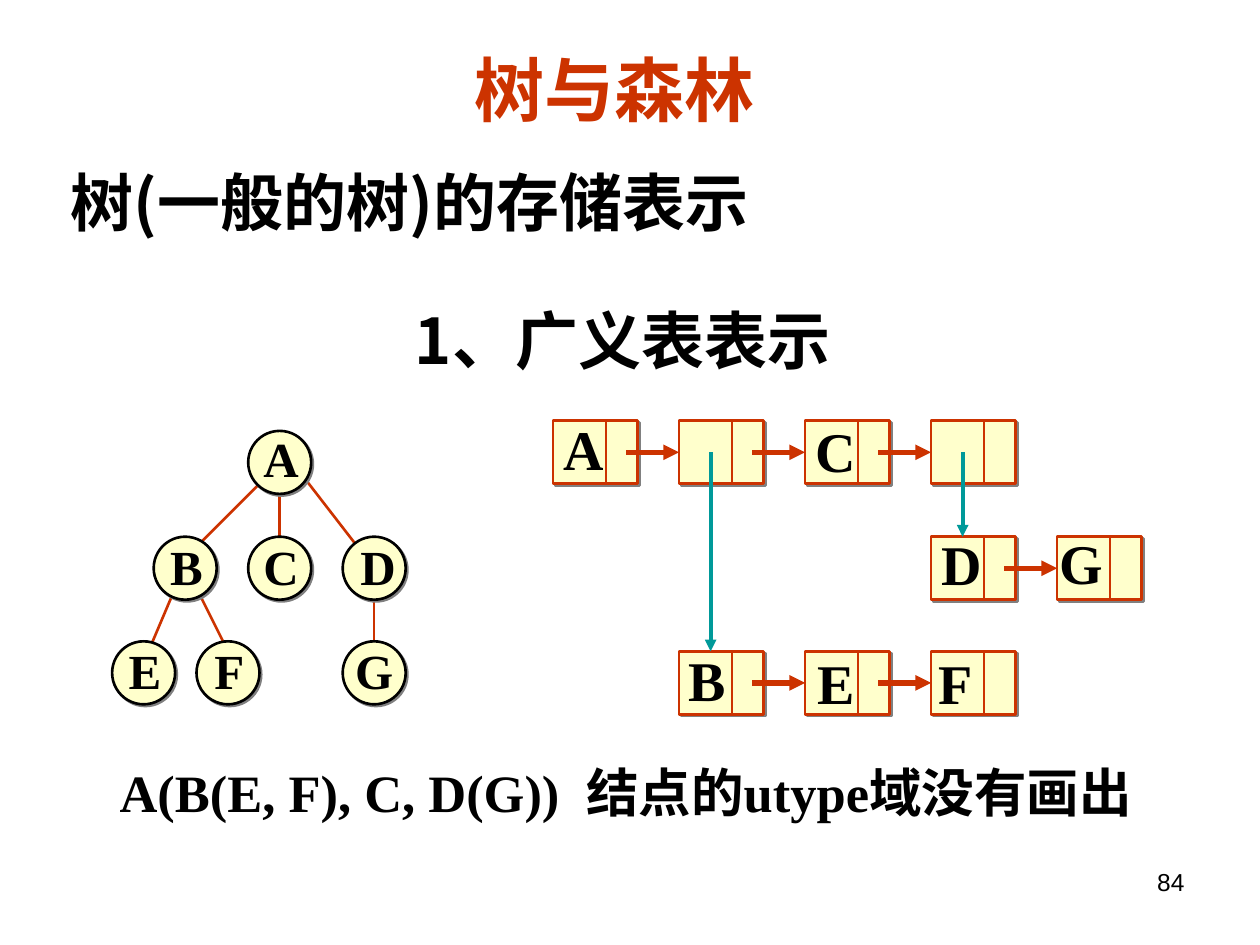
from dataclasses import dataclass
from lxml import etree
from pptx import Presentation
from pptx.dml.color import RGBColor
from pptx.enum.shapes import MSO_CONNECTOR, MSO_SHAPE
from pptx.enum.text import MSO_ANCHOR, MSO_AUTO_SIZE, PP_ALIGN
from pptx.oxml import parse_xml
from pptx.oxml.ns import qn
from pptx.util import Inches, Pt

LINE = MSO_CONNECTOR.STRAIGHT
OVAL, RECT = MSO_SHAPE.OVAL, MSO_SHAPE.RECTANGLE
MID, TOP = MSO_ANCHOR.MIDDLE, MSO_ANCHOR.TOP
LEFT, RIGHT, CENTER = PP_ALIGN.LEFT, PP_ALIGN.RIGHT, PP_ALIGN.CENTER
NO_FIT = MSO_AUTO_SIZE.NONE


@dataclass
class Theme:
    red: str = "CC3300"
    teal: str = "009999"
    cream: str = "FFFFCC"
    black: str = "000000"
    gray: str = "808080"
    serif: str = "Times New Roman"
    sans: str = "Arial"
    cjk: str = "Noto Sans CJK JP"
    title: int = 40
    head: int = 36
    note: int = 30
    cell: int = 32
    node: int = 28
    page: int = 14


theme = Theme()
SHADOW = (
    '<a:effectLst xmlns:a="http://schemas.openxmlformats.org/drawingml/2006/main">'
    '<a:outerShdw blurRad="0" dist="17961" dir="2700000" algn="ctr" rotWithShape="0">'
    f'<a:srgbClr val="{theme.gray}"/></a:outerShdw></a:effectLst>'
)

deck = Presentation()
deck.slide_width, deck.slide_height = Inches(10), Inches(7.5)
slide = deck.slides.add_slide(deck.slide_layouts[5])
shapes = slide.shapes


def write(words, place, size, face, color=theme.black, bold=True,
          align=CENTER, anchor=TOP, wrap=True, box=None):
    box = box or shapes.add_textbox(0, 0, 0, 0)
    box.left, box.top, box.width, box.height = map(Inches, place)
    frame = box.text_frame
    frame.word_wrap, frame.auto_size = wrap, NO_FIT
    frame.vertical_anchor = anchor
    para = frame.paragraphs[0]
    para.alignment = align
    run = para.add_run()
    run.text = words
    font = run.font
    font.size, font.bold, font.name = Pt(size), bold, face
    font.color.rgb = RGBColor.from_string(color)
    east = etree.SubElement(run._r.get_or_add_rPr(), qn("a:ea"))
    east.set("typeface", theme.cjk)


def draw(x1, y1, x2, y2, color=theme.red, width=1.5, arrow=False):
    line = shapes.add_connector(LINE, *map(Inches, (x1, y1, x2, y2)))
    line.line.color.rgb = RGBColor.from_string(color)
    line.line.width = Pt(width)
    if arrow:
        tail = etree.SubElement(line.line._get_or_add_ln(), qn("a:tailEnd"))
        tail.set("type", "triangle")
    etree.SubElement(line._element.spPr, qn("a:effectLst"))
    return line


write("树与森林", (2.91, 0.32, 3.94, 0.76), theme.title, theme.sans,
      theme.red, anchor=MID, box=shapes.title)
write("树(一般的树)的存储表示", (0, 1.25, 6.5, 0.7), theme.head, theme.cjk)
write("1、广义表表示", (1.69, 2.34, 6.5, 0.7), theme.head, theme.cjk)
write("A(B(E, F), C, D(G))  结点的utype域没有画出",
      (0.59, 5.98, 8.75, 0.6), theme.note, theme.serif)
write("84", (7.17, 6.83, 2.33, 0.52), theme.page, theme.sans,
      bold=False, align=RIGHT)

edges = [
    (2.97, 4.67, 2.97, 5.26), (2.39, 3.76, 2.97, 4.51),
    (1.56, 4.67, 1.81, 5.17), (1.39, 4.67, 1.14, 5.26),
    (2.06, 3.84, 1.56, 4.34), (2.22, 3.84, 2.22, 4.34),
]
for edge in edges:
    draw(*edge)

tiers = [3.42, 4.26, 5.09]
nodes = [
    ("A", 1.97, 0, 1.99, 3.35, 0.48), ("B", 1.22, 1, 1.25, 4.21, 0.46),
    ("C", 1.97, 1, 1.99, 4.21, 0.48), ("D", 2.72, 1, 2.76, 4.21, 0.48),
    ("E", 0.89, 2, 0.92, 5.03, 0.46), ("F", 1.56, 2, 1.6, 5.03, 0.44),
    ("G", 2.72, 2, 2.72, 5.03, 0.5),
]
rows = [3.34, 4.26, 5.17]
cols = [4.39 + step for step in range(5)]
cells = [(0, 0), (1, 0), (2, 0), (3, 0), (3, 1), (4, 1), (1, 2), (2, 2), (3, 2)]

forms = [(OVAL, x, tiers[tier], 0.5, theme.black) for _, x, tier, *_ in nodes]
forms += [(RECT, cols[col], rows[row], 0.67, theme.red) for col, row in cells]
made = []
for kind, x, y, width, edge in forms:
    form = shapes.add_shape(kind, *map(Inches, (x, y, width, 0.5)))
    form.fill.solid()
    form.fill.fore_color.rgb = RGBColor.from_string(theme.cream)
    form.line.color.rgb = RGBColor.from_string(edge)
    form.line.width = Pt(1.5)
    form._element.spPr.append(parse_xml(SHADOW))
    made.append(form)
boxes = dict(zip(cells, made[len(nodes):]))

for col, row in cells:
    x, y = cols[col], rows[row]
    draw(x + 0.42, y, x + 0.42, y + 0.5)
    if (col + 1, row) in boxes:
        link = draw(x + 0.58, y + 0.25, x + 1, y + 0.25, width=3, arrow=True)
        link.end_connect(boxes[col + 1, row], 1)

for col, row in [(1, 2), (3, 1)]:
    x = cols[col] + 0.25
    draw(x, rows[0] + 0.25, x, rows[row], theme.teal, 2.25, True)

for word, _, _, x, y, width in nodes:
    write(word, (x, y, width, 0.57), theme.node, theme.serif,
          anchor=MID, wrap=False)

marks = [
    ("A", 4.37, 3.24, 0.52), ("B", 5.37, 5.07, 0.49), ("E", 6.39, 5.09, 0.49),
    ("F", 7.35, 5.09, 0.47), ("C", 6.37, 3.25, 0.52), ("D", 7.37, 4.15, 0.52),
    ("G", 8.31, 4.14, 0.54),
]
for word, x, y, width in marks:
    write(word, (x, y, width, 0.64), theme.cell, theme.serif,
          anchor=MID, wrap=False)

deck.save("out.pptx")
